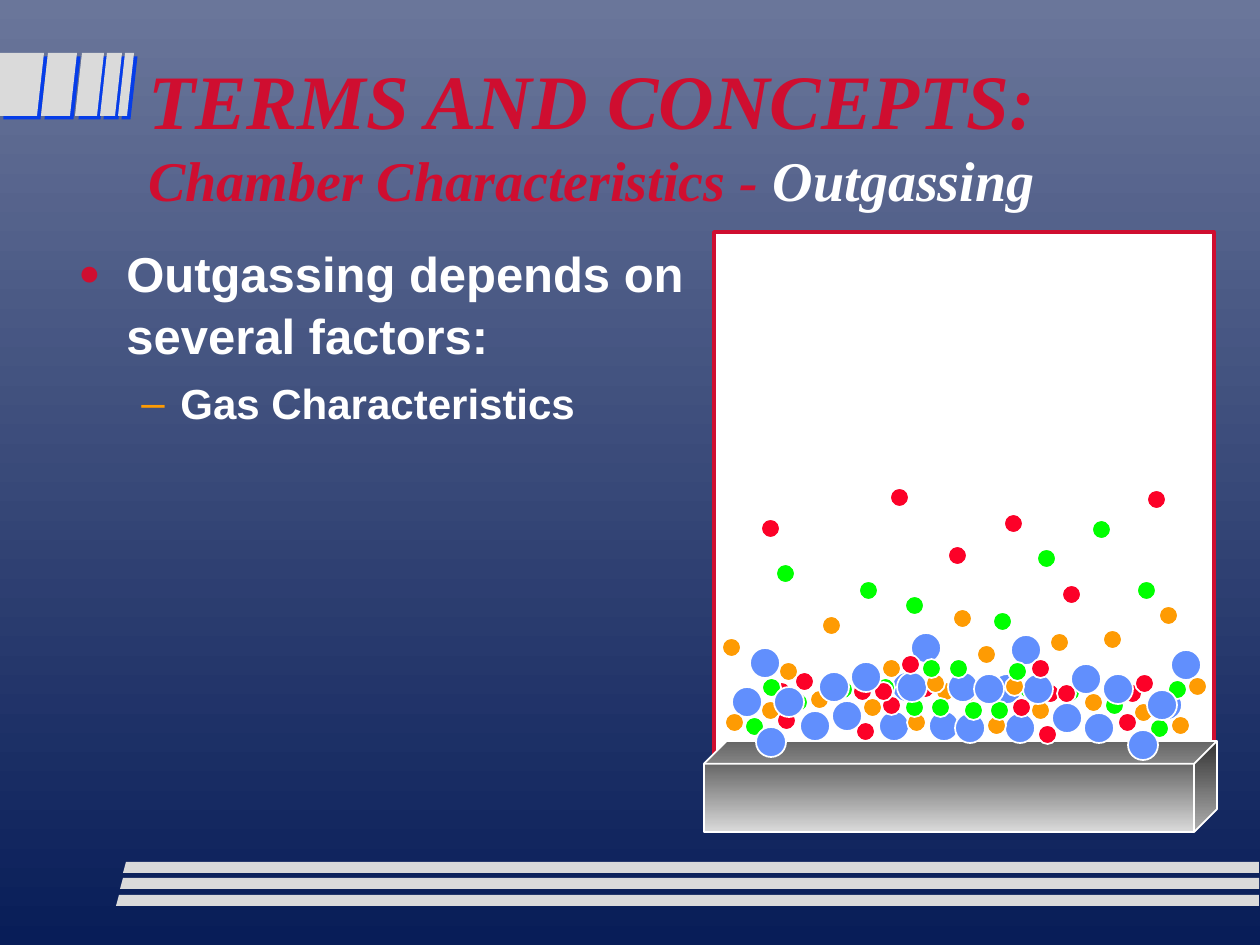
from dataclasses import dataclass
from itertools import cycle

from lxml import etree
from pptx import Presentation
from pptx.dml.color import RGBColor
from pptx.enum.shapes import MSO_SHAPE
from pptx.oxml.ns import qn
from pptx.util import Emu, Pt

PX = 914400 / 126
RECT, CUBE, OVAL = MSO_SHAPE.RECTANGLE, MSO_SHAPE.CUBE, MSO_SHAPE.OVAL

WHITE = RGBColor(0xFF, 0xFF, 0xFF)
SILVER = RGBColor(0xDA, 0xDA, 0xDA)
GRAY = RGBColor(0x40, 0x40, 0x40)
CRIMSON = RGBColor(0xCF, 0x0E, 0x30)
RED = RGBColor(0xFC, 0x01, 0x28)
GREEN = RGBColor(0x00, 0xFF, 0x00)
ORANGE = RGBColor(0xFE, 0x9B, 0x03)
BLUE = RGBColor(0x61, 0x8F, 0xFD)
SHADE = RGBColor(0x06, 0x3D, 0xE8)
SKY = RGBColor(0x6A, 0x76, 0x9A)
NAVY = RGBColor(0x08, 0x1D, 0x58)


@dataclass(frozen=True)
class Gas:
    color: RGBColor
    size: int


@dataclass(frozen=True)
class Point:
    """One bulleted line of the body text."""
    text: str
    size: int
    mark: str
    tint: RGBColor
    scale: int
    left: int
    hang: int
    before: int


GASES = [Gas(BLUE, 30), Gas(ORANGE, 19), Gas(GREEN, 19), Gas(RED, 19)]

# Left and top of each molecule; the gases take turns within a cluster.
CLUSTERS = [
    [(929, 711), (761, 701), (745, 717), (856, 722), (892, 672),
     (936, 682), (876, 678), (777, 711), (879, 711), (907, 713),
     (931, 698), (853, 682), (832, 701), (863, 698), (905, 698),
     (916, 679), (800, 711), (810, 690), (789, 693), (772, 682),
     (732, 687), (725, 713), (834, 680), (882, 696), (756, 727)],
    [(955, 713), (1134, 703), (1150, 719), (1038, 725), (992, 674),
     (958, 684), (1019, 680), (1118, 713), (1005, 713), (987, 716),
     (964, 701), (1041, 684), (1052, 703), (1031, 701), (990, 701),
     (978, 682), (1084, 713), (1084, 693), (1105, 696), (1123, 684),
     (1152, 690), (1171, 716), (1061, 683), (1012, 698), (1128, 730)],
    [(948, 672), (779, 662), (762, 678), (874, 682), (911, 633),
     (953, 609), (905, 596), (795, 672), (897, 672), (926, 674),
     (949, 659), (890, 488), (851, 662), (882, 659), (922, 659),
     (948, 546), (819, 672), (822, 616), (776, 564), (761, 519),
     (750, 648), (722, 638), (859, 581), (901, 655), (774, 687)],
    [(974, 674), (1159, 606), (1168, 680), (1057, 684), (1011, 635),
     (977, 645), (1037, 549), (1135, 674), (1023, 674), (1005, 677),
     (993, 612), (1062, 585), (1071, 664), (1050, 633), (1008, 662),
     (1004, 514), (1103, 674), (1103, 630), (1137, 581), (1147, 490),
     (1171, 650), (1188, 677), (1092, 520), (1031, 659), (1147, 690)],
]

# Left and right of the top edge of each slanted stripe.
STRIPES = [(48, 77), (82, 104), (107, 122), (125, 134)]
# Left of the bottom edge, and top, of each footer bar.
BARS = [(116, 895), (120, 878), (123, 862)]

POINTS = [
    Point("Outgassing depends on several factors:", 28, "●", CRIMSON, 75, 48, 48, 0),
    Point("Gas Characteristics", 24, "–", ORANGE, 100, 102, 39, 6),
]


def px(count: int) -> Emu:
    return Emu(round(count * PX))


def blend(fill, start: RGBColor, end: RGBColor) -> None:
    """Fill with a gradient that runs from top to bottom."""
    fill.gradient()
    fill.gradient_angle = 270
    for stop, color in zip(fill.gradient_stops, (start, end)):
        stop.color.rgb = color


def add_shape(slide, kind, left: int, top: int, width: int, height: int,
              line: RGBColor, weight: int = 1):
    shape = slide.shapes.add_shape(kind, px(left), px(top), px(width), px(height))
    shape.shadow.inherit = False
    shape.line.color.rgb = line
    shape.line.width = Pt(weight)
    return shape


def add_plate(slide, corners: list[tuple[int, int]], shadow: bool = False) -> None:
    pen = slide.shapes.build_freeform(*corners[0], scale=PX)
    pen.add_line_segments(corners[1:], close=True)
    plate = pen.convert_to_shape()
    plate.fill.solid()
    plate.fill.fore_color.rgb = SILVER
    plate.line.fill.background()
    plate.shadow.inherit = False
    if shadow:
        effects = plate._element.spPr.find(qn("a:effectLst"))
        outer = etree.SubElement(effects, qn("a:outerShdw"), blurRad="0",
                                 dist=str(Pt(2.8)), dir="2700000", algn="ctr")
        etree.SubElement(outer, qn("a:srgbClr"), val=str(SHADE))


def add_frame(slide, left: int, top: int, width: int, height: int, inset: int):
    box = slide.shapes.add_textbox(px(left), px(top), px(width), px(height))
    frame = box.text_frame
    frame.word_wrap = True
    frame.margin_top = px(inset)
    return frame


def add_point(para, point: Point) -> None:
    props = para._p.get_or_add_pPr()
    props.set("marL", str(px(point.left)))
    props.set("indent", str(px(-point.hang)))
    color = etree.SubElement(props, qn("a:buClr"))
    etree.SubElement(color, qn("a:srgbClr"), val=str(point.tint))
    etree.SubElement(props, qn("a:buSzPct"), val=str(point.scale * 1000))
    etree.SubElement(props, qn("a:buFont"), typeface="Arial")
    etree.SubElement(props, qn("a:buChar"), char=point.mark)
    para.text = point.text
    para.line_spacing = 1.05
    para.space_before = Pt(point.before)
    font = para.font
    font.name, font.size, font.bold = "Arial", Pt(point.size), True
    font.color.rgb = WHITE


def add_title(slide) -> None:
    para = add_frame(slide, 136, 38, 1071, 163, 15).paragraphs[0]
    font = para.font
    font.name, font.bold, font.italic = "Times New Roman", True, True
    parts = [("TERMS AND CONCEPTS:", 44, CRIMSON),
             ("Chamber Characteristics - ", 32, CRIMSON),
             ("Outgassing", 32, WHITE)]
    for index, (text, size, color) in enumerate(parts):
        if index == 1:
            para.add_line_break()
        run = para.add_run()
        run.text = text
        run.font.size = Pt(size)
        run.font.color.rgb = color


def add_body(slide) -> None:
    frame = add_frame(slide, 66, 232, 649, 576, 9)
    for index, point in enumerate(POINTS):
        add_point(frame.add_paragraph() if index else frame.paragraphs[0], point)


def add_chamber(slide) -> None:
    wall = add_shape(slide, RECT, 714, 232, 500, 576, CRIMSON, 2)
    wall.fill.solid()
    wall.fill.fore_color.rgb = WHITE
    base = add_shape(slide, CUBE, 704, 741, 513, 91, WHITE)
    blend(base.fill, GRAY, SILVER)
    for cluster in CLUSTERS:
        for (left, top), gas in zip(cluster, cycle(GASES)):
            ball = add_shape(slide, OVAL, left, top, gas.size, gas.size, WHITE)
            ball.fill.solid()
            ball.fill.fore_color.rgb = gas.color


def main() -> None:
    deck = Presentation()
    deck.slide_width, deck.slide_height = px(1260), px(945)
    slide = deck.slides.add_slide(deck.slide_layouts[6])
    blend(slide.background.fill, SKY, NAVY)
    add_plate(slide, [(0, 53), (44, 53), (37, 116), (0, 116)], shadow=True)
    for left, right in STRIPES:
        add_plate(slide, [(left, 53), (right, 53), (right - 7, 116), (left - 7, 116)],
                  shadow=True)
    for left, top in BARS:
        add_plate(slide, [(left, top + 11), (1259, top + 11), (1259, top), (left + 3, top)])
    add_title(slide)
    add_body(slide)
    add_chamber(slide)
    deck.save("out.pptx")


if __name__ == "__main__":
    main()
